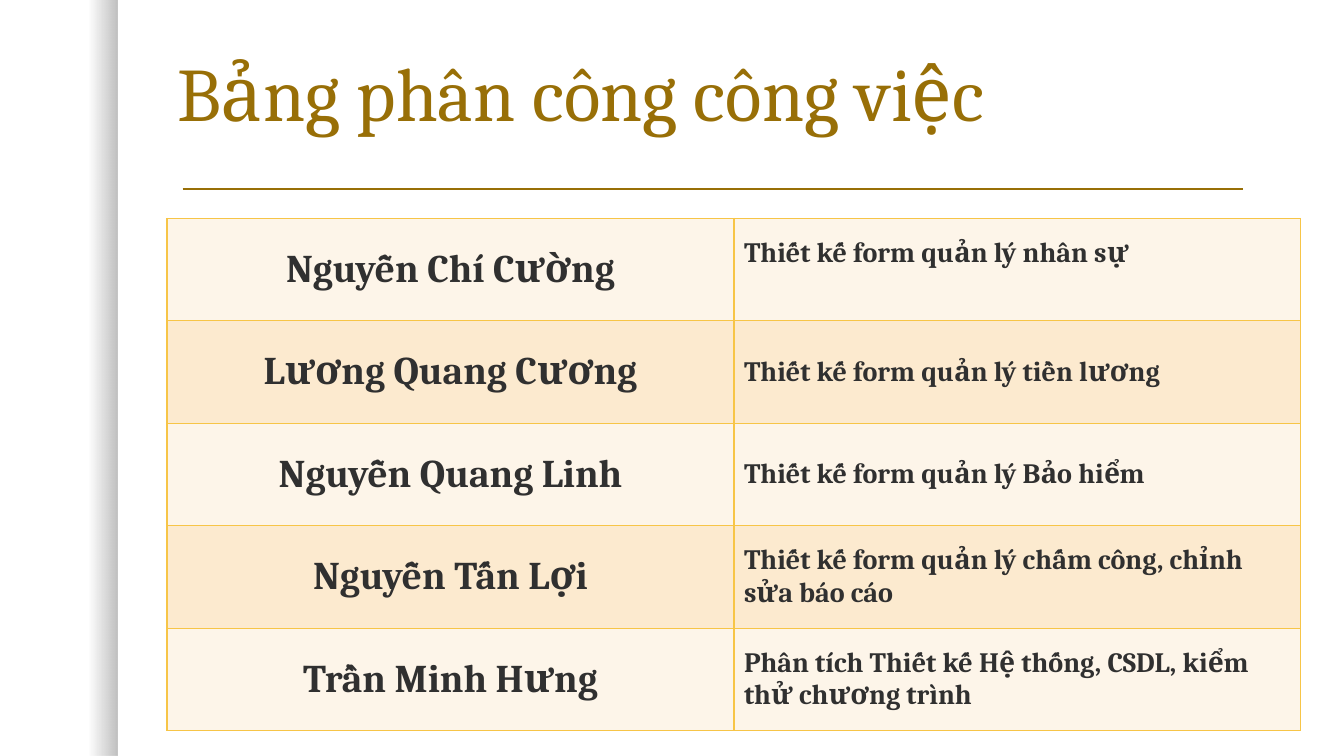
from lxml.etree import SubElement
from pptx import Presentation
from pptx.dml.color import RGBColor
from pptx.enum.shapes import MSO_CONNECTOR as CONN, MSO_SHAPE as SHAPE
from pptx.enum.text import MSO_ANCHOR as ANCHOR, MSO_AUTO_SIZE as AUTO, PP_ALIGN as ALIGN
from pptx.oxml.ns import qn
from pptx.util import Emu, Pt

THEME = {
    "font": "Cambria",
    "gold": "986F07", "ink": "303030", "border": "F7C547", "shade": "000000",
    "bands": ("FDF5E9", "FCEACF"),
    "title": 54, "name": 28, "task": 20, "line": 1,
}
ROWS = [
    ("Nguyễn Chí Cường", "Thiết kế form quản lý nhân sự"),
    ("Lương Quang Cương", "Thiết kế form quản lý tiền lương"),
    ("Nguyễn Quang Linh", "Thiết kế form quản lý Bảo hiểm"),
    ("Nguyễn Tấn Lợi", "Thiết kế form quản lý chấm công, chỉnh sửa báo cáo"),
    ("Trần Minh Hưng", "Phân tích Thiết kế Hệ thống, CSDL, kiểm thử chương trình"),
]


def px(n):
    """Turn pixels, 96 to the inch, into EMU."""
    return Emu(n * 9525)


def write(p, text, size, color, align, bold):
    r = p.add_run()
    r.text = text
    p.alignment = align
    font = {"name": THEME["font"], "size": Pt(size), "bold": bold}
    for key, value in font.items():
        setattr(r.font, key, value)
    r.font.color.rgb = RGBColor.from_string(color)


prs = Presentation()
prs.slide_width, prs.slide_height = px(1280), px(720)
s = prs.slides.add_slide(prs.slide_layouts[5])

# Shaded strip along the left edge
strip = s.shapes.add_shape(SHAPE.RECTANGLE, 0, 0, px(112), px(720))
strip.shadow.inherit = False
strip.line.fill.background()
strip.fill.gradient()
strip.fill.gradient_angle = 0
for stop, position in zip(strip.fill.gradient_stops, (0.75, 1)):
    stop.position = position
    stop.color.rgb = RGBColor.from_string(THEME["shade"])
for clr, alpha in zip(strip.element.iter(qn("a:srgbClr")), (0, 25000)):
    SubElement(clr, qn("a:alpha"), val=str(alpha))

# Rule under the title
rule = s.shapes.add_connector(CONN.STRAIGHT, px(174), px(180), px(1184), px(180))
rule.line.width = Pt(THEME["line"])
rule.line.color.rgb = RGBColor.from_string(THEME["gold"])
SubElement(rule.element.spPr, qn("a:effectLst"))

# Title
title = s.shapes.title
title.left, title.top, title.width, title.height = px(159), px(8), px(1032), px(128)
tf = title.text_frame
tf.word_wrap, tf.auto_size, tf.vertical_anchor = True, AUTO.NONE, ANCHOR.BOTTOM
p = tf.paragraphs[0]
p.line_spacing = 0.9
write(p, "Bảng phân công công việc", THEME["title"], THEME["gold"], ALIGN.LEFT, False)

# Table of people and tasks
table = s.shapes.add_table(len(ROWS), 2, px(159), px(208), px(1080), px(488)).table
table.first_row = table.horz_banding = False
for i, row in enumerate(ROWS):
    styles = zip(row, (THEME["name"], THEME["task"]), (ALIGN.CENTER, ALIGN.LEFT))
    for j, (text, size, align) in enumerate(styles):
        cell = table.cell(i, j)
        cell.vertical_anchor = ANCHOR.MIDDLE
        write(cell.text_frame.paragraphs[0], text, size, THEME["ink"], align, True)
        tc_pr = cell._tc.get_or_add_tcPr()
        for side in "LRTB":
            ln = SubElement(tc_pr, qn("a:ln" + side), w=str(Pt(THEME["line"])))
            fill = SubElement(ln, qn("a:solidFill"))
            SubElement(fill, qn("a:srgbClr"), val=THEME["border"])
        cell.fill.solid()
        cell.fill.fore_color.rgb = RGBColor.from_string(THEME["bands"][i % 2])
table.cell(0, 1).margin_bottom = px(36)  # the first task sits above the middle

prs.save("out.pptx")
